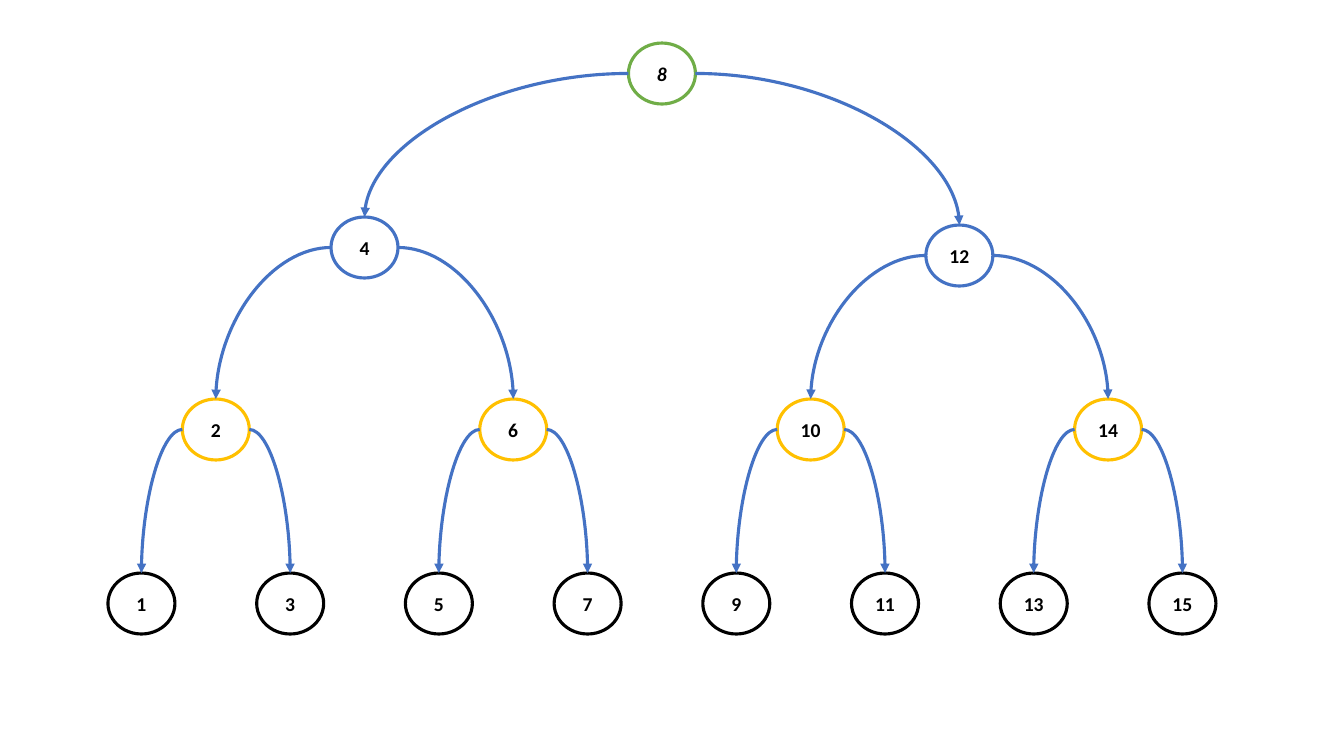
from lxml.etree import SubElement
from pptx import Presentation
from pptx.dml.color import RGBColor
from pptx.enum.shapes import MSO_CONNECTOR, MSO_SHAPE
from pptx.enum.text import MSO_ANCHOR, PP_ALIGN
from pptx.oxml.ns import qn
from pptx.util import Pt

BLACK = RGBColor(0x00, 0x00, 0x00)
WHITE = RGBColor(0xFF, 0xFF, 0xFF)
GREEN = RGBColor(0x70, 0xAD, 0x47)
BLUE = RGBColor(0x44, 0x72, 0xC4)
GOLD = RGBColor(0xFF, 0xC0, 0x00)

# Tree levels from the root down: outline colour and {key: top in px}
LEVELS = [
    (GREEN, {8: 43}),
    (BLUE, {4: 217, 12: 225}),
    (GOLD, dict.fromkeys([2, 6, 10, 14], 399)),
    (BLACK, dict.fromkeys([1, 3, 5, 7, 9, 11, 13, 15], 573)),
]
ROOT, LAST_KEY = 8, 15

PX = 914400 / 100.8
SLIDE_W, SLIDE_H = 1344, 756
NODE_W, NODE_H = 67, 61
FIRST_LEFT, LAST_LEFT = 108, 1149
STROKE = Pt(2.25)


def emu(px):
    return round(px * PX)


def node_left(key):
    """Keys stand in sorted order, evenly spaced across the slide."""
    return FIRST_LEFT + (LAST_LEFT - FIRST_LEFT) * (key - 1) / (LAST_KEY - 1)


def add_node(slide, key, top, colour):
    node = slide.shapes.add_shape(
        MSO_SHAPE.OVAL, emu(node_left(key)), emu(top), emu(NODE_W), emu(NODE_H))
    node.shadow.inherit = False
    node.fill.solid()
    node.fill.fore_color.rgb = WHITE
    node.line.color.rgb = colour
    node.line.width = STROKE
    frame = node.text_frame
    frame.vertical_anchor = MSO_ANCHOR.MIDDLE
    paragraph = frame.paragraphs[0]
    paragraph.alignment = PP_ALIGN.CENTER
    label = paragraph.add_run()
    label.text = str(key)
    label.font.name = "Calibri"
    label.font.size = Pt(14)
    label.font.bold = True
    if key == ROOT:
        label.font.italic = True
    label.font.color.rgb = BLACK


def add_branch(slide, parent, child, tops):
    """Curve from the parent's near side to the top of the child."""
    start_x = node_left(parent) + (NODE_W if child > parent else 0)
    branch = slide.shapes.add_connector(
        MSO_CONNECTOR.CURVE,
        emu(start_x), emu(tops[parent] + NODE_H / 2),
        emu(node_left(child) + NODE_W / 2), emu(tops[child]))
    branch.line.color.rgb = BLUE
    branch.line.width = STROKE
    properties = branch._element.spPr
    properties.find(qn("a:prstGeom")).set("prst", "curvedConnector2")
    SubElement(properties.find(qn("a:ln")), qn("a:tailEnd"), type="triangle")
    SubElement(properties, qn("a:effectLst"))


def main():
    deck = Presentation()
    deck.slide_width, deck.slide_height = emu(SLIDE_W), emu(SLIDE_H)
    slide = deck.slides.add_slide(deck.slide_layouts[6])

    tops = {}
    for colour, level in LEVELS:
        tops.update(level)
        for key, top in level.items():
            add_node(slide, key, top, colour)

    reach = ROOT // 2
    for _, level in LEVELS[:-1]:
        for parent in level:
            for child in (parent - reach, parent + reach):
                add_branch(slide, parent, child, tops)
        reach //= 2

    deck.save("out.pptx")


if __name__ == "__main__":
    main()
